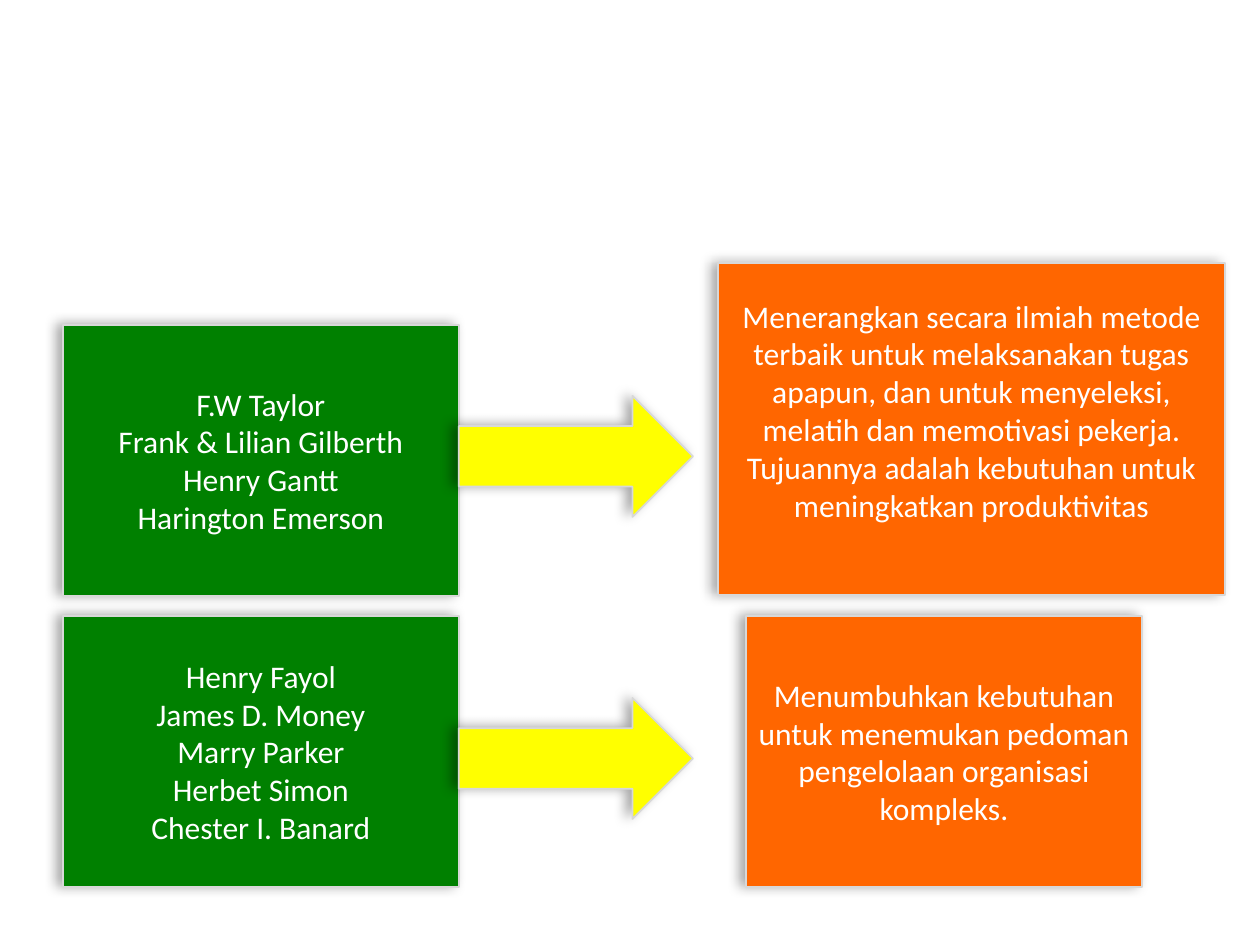
from dataclasses import dataclass

from lxml.etree import SubElement
from pptx import Presentation
from pptx.dml.color import RGBColor as Color
from pptx.enum.shapes import MSO_SHAPE as Preset
from pptx.enum.text import MSO_ANCHOR as Anchor, PP_ALIGN as Align
from pptx.oxml.ns import qn
from pptx.util import Cm, Pt


@dataclass(frozen=True)
class Theme:
    font: str = "Calibri"
    text_size: int = 18
    text: str = "FFFFFF"
    people: str = "008000"
    idea: str = "FF6600"
    arrow: str = "FFFF00"
    outline: str = "D8D8D8"
    shadow: str = "000000"


class SlideBuilder:
    def __init__(self, slide, theme):
        self.slide = slide
        self.theme = theme

    def add_shadow(self, shape):
        shape.shadow.inherit = False
        effects = shape._element.spPr.find(qn("a:effectLst"))
        shadow = SubElement(
            effects, qn("a:outerShdw"), blurRad=str(Pt(7)), dist=str(Pt(4)),
            dir=str(190 * 60000), algn="tl", rotWithShape="0",
        )
        color = SubElement(shadow, qn("a:srgbClr"), val=self.theme.shadow)
        SubElement(color, qn("a:alpha"), val="35000")

    def add_preset(self, preset, fill, left, top, width, height):
        shape = self.slide.shapes.add_shape(
            preset, Cm(left), Cm(top), Cm(width), Cm(height)
        )
        shape.fill.solid()
        shape.fill.fore_color.rgb = Color.from_string(fill)
        shape.line.color.rgb = Color.from_string(self.theme.outline)
        shape.line.width = Pt(1)
        self.add_shadow(shape)
        return shape

    def add_box(self, fill, lines, left, top, width, height, bottom_inset=0.13):
        shape = self.add_preset(Preset.RECTANGLE, fill, left, top, width, height)
        frame = shape.text_frame
        frame.word_wrap = True
        frame.vertical_anchor = Anchor.MIDDLE
        frame.margin_bottom = Cm(bottom_inset)
        for index, line in enumerate(lines):
            paragraph = frame.add_paragraph() if index else frame.paragraphs[0]
            paragraph.alignment = Align.CENTER
            run = paragraph.add_run()
            run.text = line
            run.font.name = self.theme.font
            run.font.size = Pt(self.theme.text_size)
            run.font.color.rgb = Color.from_string(self.theme.text)

    def add_arrow(self, left, top, width, height):
        self.add_preset(
            Preset.RIGHT_ARROW, self.theme.arrow, left, top, width, height
        )


def main():
    presentation = Presentation()
    presentation.slide_width, presentation.slide_height = Cm(25.4), Cm(19.05)
    slide = presentation.slides.add_slide(presentation.slide_layouts[6])
    theme = Theme()
    builder = SlideBuilder(slide, theme)

    left, box_width, box_height = 1.27, 7.98, 5.46
    upper_top, lower_top = 6.55, 12.42
    scientific_names = [
        "F.W Taylor", "Frank & Lilian Gilberth", "Henry Gantt", "Harington Emerson",
    ]
    organization_names = [
        "Henry Fayol", "James D. Money", "Marry Parker", "Herbet Simon",
        "Chester I. Banard",
    ]
    scientific_idea = (
        "Menerangkan secara ilmiah metode terbaik untuk melaksanakan tugas apapun, "
        "dan untuk menyeleksi, melatih dan memotivasi pekerja. "
        "Tujuannya adalah kebutuhan untuk meningkatkan produktivitas"
    )
    organization_idea = (
        "Menumbuhkan kebutuhan untuk menemukan pedoman pengelolaan "
        "organisasi kompleks."
    )

    for names, top in ((scientific_names, upper_top), (organization_names, lower_top)):
        builder.add_box(theme.people, names, left, top, box_width, box_height)
    builder.add_box(
        theme.idea, [scientific_idea], 14.48, 5.31, 10.21, 6.68, bottom_inset=0.89
    )
    builder.add_box(
        theme.idea, [organization_idea], 15.04, lower_top, box_width, box_height
    )
    for top in (7.98, 14.07):
        builder.add_arrow(left + box_width, top, 4.72, 2.44)

    presentation.save("out.pptx")


if __name__ == "__main__":
    main()
